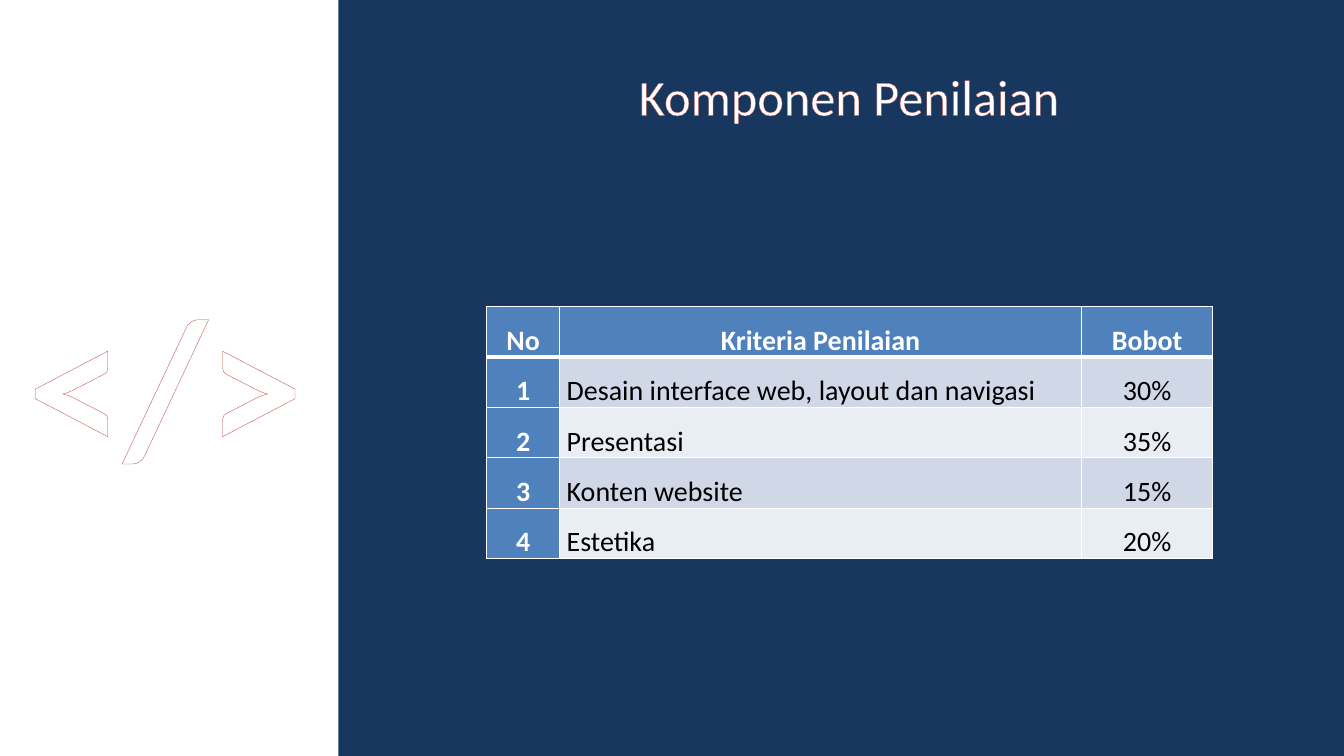
"""Build the grading components slide."""
from dataclasses import dataclass

from lxml.etree import SubElement as Sub
from pptx import Presentation
from pptx.dml.color import RGBColor as RGB
from pptx.enum.shapes import MSO_SHAPE as Shape
from pptx.enum.text import MSO_ANCHOR as Anchor, MSO_AUTO_SIZE as Fit, PP_ALIGN as Align
from pptx.oxml import parse_xml
from pptx.oxml.ns import nsdecls, qn
from pptx.util import Cm, Pt


@dataclass(frozen=True)
class Theme:
    font: str = "Calibri"
    white: str = "FFFFFF"
    black: str = "000000"
    navy: str = "17375E"
    blue: str = "4F81BD"
    red: str = "C0504D"
    bands: tuple = ("D0D8E8", "E9EDF4")
    mark: int = 138
    title: int = 36
    body: int = 20
    edge: float = 0.52
    thin: int = 1
    thick: int = 3


THEME = Theme()

ROWS = (
    ("No", "Kriteria Penilaian", "Bobot"),
    ("1", "Desain interface web, layout dan navigasi", "30%"),
    ("2", "Presentasi", "35%"),
    ("3", "Konten website", "15%"),
    ("4", "Estetika", "20%"),
)


def line(tag, color, width):
    return parse_xml(
        f'<a:{tag} {nsdecls("a")} w="{Pt(width)}"><a:solidFill>'
        f'<a:srgbClr val="{color}"/></a:solidFill></a:{tag}>'
    )


def write(frame, text, size=THEME.body, color=THEME.white, bold=False,
          align=Align.CENTER, edge=None, lead=None, before=None, after=None):
    para = frame.paragraphs[0]
    para.alignment = align
    para.line_spacing = lead
    para.space_before = before
    para.space_after = after
    run = para.add_run()
    run.text = text
    font = run.font
    font.name, font.size, font.bold = THEME.font, Pt(size), bold
    font.color.rgb = RGB.from_string(color)
    if edge:
        run._r.get_or_add_rPr().insert(0, line("ln", edge, THEME.edge))


def panel(slide, left, top, width, height, color):
    box = slide.shapes.add_shape(Shape.RECTANGLE, Cm(left), Cm(top), Cm(width), Cm(height))
    box.shadow.inherit = False
    box.fill.solid()
    box.fill.fore_color.rgb = RGB.from_string(color)
    box.line.fill.background()


def label(slide, left, top, width, height, text, wrap=True, **style):
    box = slide.shapes.add_textbox(Cm(left), Cm(top), Cm(width), Cm(height))
    frame = box.text_frame
    frame.word_wrap = wrap
    frame.auto_size = Fit.SHAPE_TO_FIT_TEXT
    write(frame, text, **style)


def paint(cell, color, base):
    cell.fill.solid()
    cell.fill.fore_color.rgb = RGB.from_string(color)
    sides = (("lnL", THEME.thin), ("lnR", THEME.thin), ("lnT", THEME.thin), ("lnB", base))
    props = cell._tc.get_or_add_tcPr()
    for spot, (tag, width) in enumerate(sides):
        props.insert(spot, line(tag, THEME.white, width))


def grid(slide, left, top, widths, height, rows):
    frame = slide.shapes.add_table(
        len(rows), len(widths), Cm(left), Cm(top), Cm(sum(widths)), Cm(height * len(rows)))
    table = frame.table
    for col, width in zip(table.columns, widths):
        col.width = Cm(width)
    for r, row in enumerate(rows):
        table.rows[r].height = Cm(height)
        for c, text in enumerate(row):
            cell = table.cell(r, c)
            head = r == 0
            key = head or c == 0
            cell.margin_left = cell.margin_right = Cm(0.18)
            cell.margin_top = cell.margin_bottom = 0
            cell.vertical_anchor = Anchor.MIDDLE
            paint(cell, THEME.blue if key else THEME.bands[(r - 1) % 2],
                  THEME.thick if head else THEME.thin)
            write(cell.text_frame, text, bold=key,
                  color=THEME.white if key else THEME.black,
                  align=Align.LEFT if c == 1 and not head else Align.CENTER,
                  lead=1.5, before=Pt(6), after=Pt(14) if head else None)


def main():
    deck = Presentation()
    deck.slide_width, deck.slide_height = Cm(33.87), Cm(19.05)
    slide = deck.slides.add_slide(deck.slide_layouts[6])
    panel(slide, 8.53, 0, 25.34, 19.05, THEME.navy)
    label(slide, -1.27, 6.48, 10.87, 6.15, "</>",
          size=THEME.mark, bold=True, edge=THEME.red)
    label(slide, 15.8, 1.52, 11.2, 1.8, "Komponen Penilaian",
          wrap=False, size=THEME.title, edge=THEME.red)
    grid(slide, 12.27, 7.72, (1.83, 13.16, 3.3), 1.27, ROWS)
    deck.save("out.pptx")


if __name__ == "__main__":
    main()
